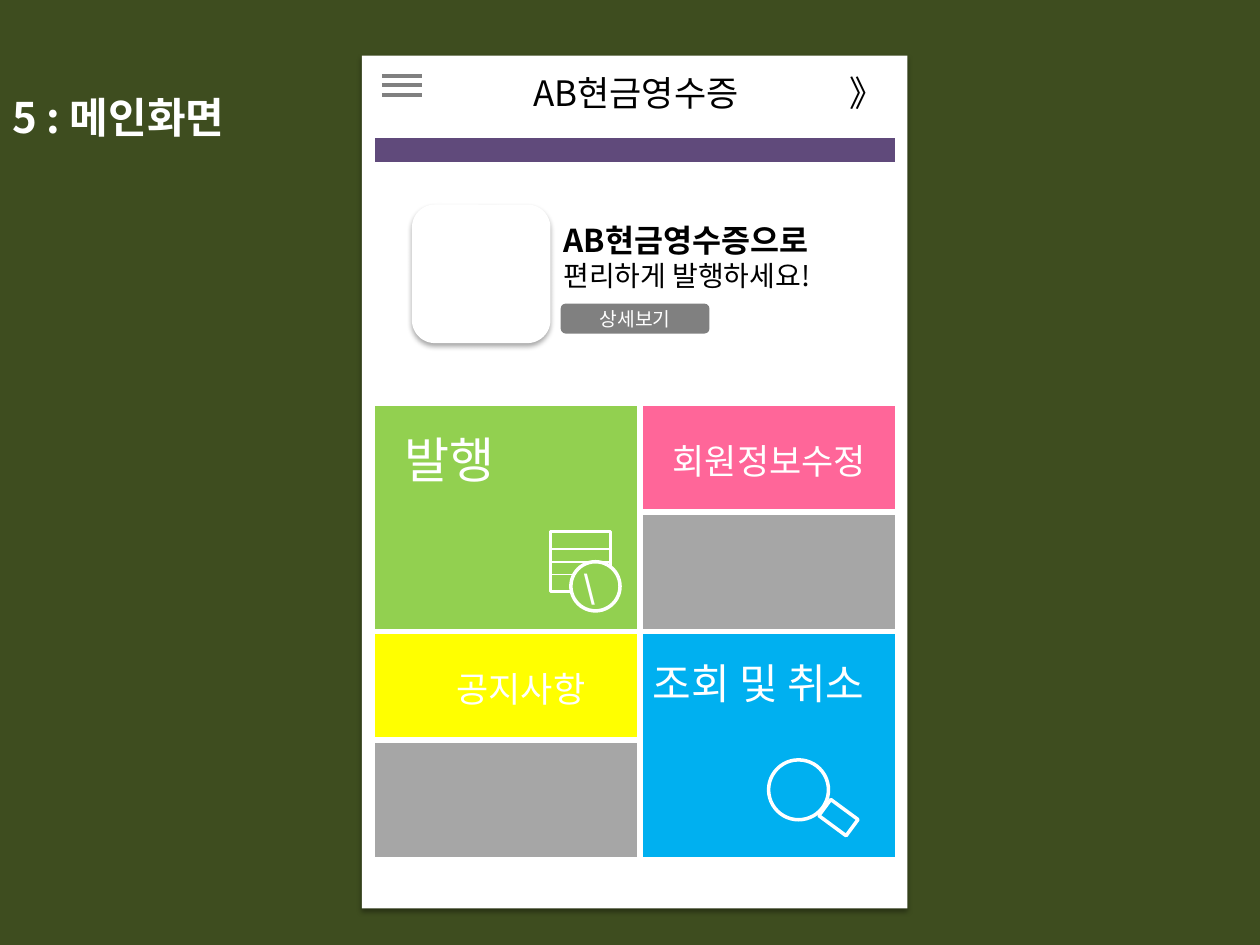
from lxml.etree import SubElement
from pptx import Presentation
from pptx.dml.color import RGBColor
from pptx.enum.shapes import MSO_CONNECTOR as Connector, MSO_SHAPE as Shape
from pptx.enum.text import MSO_ANCHOR as Anchor, MSO_AUTO_SIZE as AutoSize, PP_ALIGN as Align
from pptx.oxml.ns import qn
from pptx.util import Pt

WHITE, BLACK = "FFFFFF", "000000"
GREEN, PINK, YELLOW, BLUE = "92D050", "FF6699", "FFFF00", "00B0F0"
GRAY, LIGHT_GRAY, PURPLE, OLIVE = "808080", "A6A6A6", "604A7B", "3E4D1F"


def color(value):
    return RGBColor.from_string(value)


class Painter:
    font = "Noto Sans CJK KR"

    def __init__(self, page):
        self.page = page

    def background(self, fill):
        self.page.background.fill.solid()
        self.page.background.fill.fore_color.rgb = color(fill)

    def style_text(self, para, size, ink, bold=False):
        for span in para.runs:
            span.font.name = self.font
            span.font.size = Pt(size)
            span.font.bold = bold
            span.font.color.rgb = color(ink)
            SubElement(span.font._element, qn("a:ea"), typeface=self.font)

    def shape(self, kind, left, top, width, height, fill=None, line=None, weight=3, shadow=False):
        shape = self.page.shapes.add_shape(kind, Pt(left), Pt(top), Pt(width), Pt(height))
        shape.shadow.inherit = False
        if fill:
            shape.fill.solid()
            shape.fill.fore_color.rgb = color(fill)
        else:
            shape.fill.background()
        if line:
            shape.line.color.rgb = color(line)
            shape.line.width = Pt(weight)
        else:
            shape.line.fill.background()
        if shadow:
            self.drop_shadow(shape)
        return shape

    def drop_shadow(self, shape):
        effects = shape._element.spPr.find(qn("a:effectLst"))
        outer = SubElement(effects, qn("a:outerShdw"), blurRad=str(Pt(3.1)),
                           dist=str(Pt(1.8)), dir="5400000", rotWithShape="0")
        ink = SubElement(outer, qn("a:srgbClr"), val=BLACK)
        SubElement(ink, qn("a:alpha"), val="35000")

    def tile(self, left, top, width, height, fill):
        return self.shape(Shape.RECTANGLE, left, top, width, height, fill, WHITE)

    def button(self, left, top, width, height, fill, words, size):
        button = self.shape(Shape.ROUNDED_RECTANGLE, left, top, width, height, fill)
        frame = button.text_frame
        frame.text = words
        frame.vertical_anchor = Anchor.MIDDLE
        frame.paragraphs[0].alignment = Align.CENTER
        self.style_text(frame.paragraphs[0], size, WHITE)

    def text(self, left, top, width, height, words, sizes, ink=WHITE, bold=False, align=Align.LEFT):
        box = self.page.shapes.add_textbox(Pt(left), Pt(top), Pt(width), Pt(height))
        frame = box.text_frame
        frame.text = words
        frame.word_wrap = True
        frame.auto_size = AutoSize.SHAPE_TO_FIT_TEXT
        for index, (para, size) in enumerate(zip(frame.paragraphs, sizes)):
            para.alignment = align
            self.style_text(para, size, ink, bold and index == 0)
        return box

    def tab_stop(self, box, position):
        properties = box.text_frame.paragraphs[0]._p.get_or_add_pPr()
        stops = SubElement(properties, qn("a:tabLst"))
        SubElement(stops, qn("a:tab"), pos=str(Pt(position)), algn="l")

    def line(self, left, top, width, ink, weight):
        line = self.page.shapes.add_connector(
            Connector.STRAIGHT, Pt(left), Pt(top), Pt(left + width), Pt(top))
        line.line.color.rgb = color(ink)
        line.line.width = Pt(weight)
        SubElement(line._element.spPr, qn("a:effectLst"))


def draw_header(painter):
    painter.text(0, 49, 417, 36, "5 : 메인화면", [24], bold=True)
    painter.shape(Shape.RECTANGLE, 206.8, 31.8, 311.8, 487.4, WHITE, shadow=True)
    header = painter.text(297.6, 37.4, 221, 31.7, "AB현금영수증\t》", [20], BLACK)
    painter.tab_stop(header, 180.5)
    painter.tile(212.6, 77.2, 300.4, 17.1, PURPLE)
    for row in range(3):
        painter.line(218.2, 43.2 + row * 5.6, 23, GRAY, 2.25)


def draw_banner(painter):
    painter.shape(Shape.ROUNDED_RECTANGLE, 235.4, 116.9, 79.2, 79.2, WHITE, shadow=True)
    painter.text(315, 122.6, 187.2, 48.2, "AB현금영수증으로\n편리하게 발행하세요!",
                 [18, 16], BLACK, bold=True)
    painter.button(320.4, 173.5, 85, 17.1, GRAY, "상세보기", 11)


def draw_menu(painter):
    left, top, block, short = 212.6, 230.4, 130.4, 62.2
    left_width, right_width = 153.2, 147.4
    middle, lower = left + left_width, top + block
    tall = block - short
    painter.tile(left, top, left_width, block, GREEN)
    painter.tile(middle, lower, right_width, block, BLUE)
    for x, y, width, fill in [(middle, top, right_width, PINK), (left, lower, left_width, YELLOW)]:
        painter.tile(x, y, width, short, fill)
        painter.tile(x, y + short, width, tall, LIGHT_GRAY)
    painter.text(223.9, 241.9, 96.5, 41, "발행", [28])
    painter.text(middle, 372.2, 164.2, 36, "조회 및 취소", [24])
    painter.text(377.3, 247.7, 136.1, 31.7, "회원정보수정", [20])
    painter.text(229.7, 378, 136.1, 31.7, "공지사항", [20], align=Align.CENTER)


def draw_icons(painter):
    painter.shape(Shape.RECTANGLE, 314.6, 303.8, 34.2, 34.2, line=WHITE, weight=2)
    for row in range(3):
        painter.line(314.6, 313.7 + row * 7.3, 34.2, WHITE, 1)
    painter.shape(Shape.OVAL, 326.2, 321, 28.1, 28.1, GREEN, WHITE, 2)
    painter.text(326.2, 321, 28.1, 28.8, "\\", [18], bold=True)
    painter.shape(Shape.OVAL, 439.2, 434.2, 34.2, 34.2, line=WHITE, weight=2)
    handle = painter.shape(Shape.RECTANGLE, 469.4, 461.5, 19.4, 11.5, line=WHITE, weight=2)
    handle.rotation = 36.4


def main():
    deck = Presentation()
    deck.slide_width, deck.slide_height = Pt(720), Pt(540)
    painter = Painter(deck.slides.add_slide(deck.slide_layouts[6]))
    painter.background(OLIVE)
    draw_header(painter)
    draw_banner(painter)
    draw_menu(painter)
    draw_icons(painter)
    deck.save("out.pptx")


if __name__ == "__main__":
    main()
